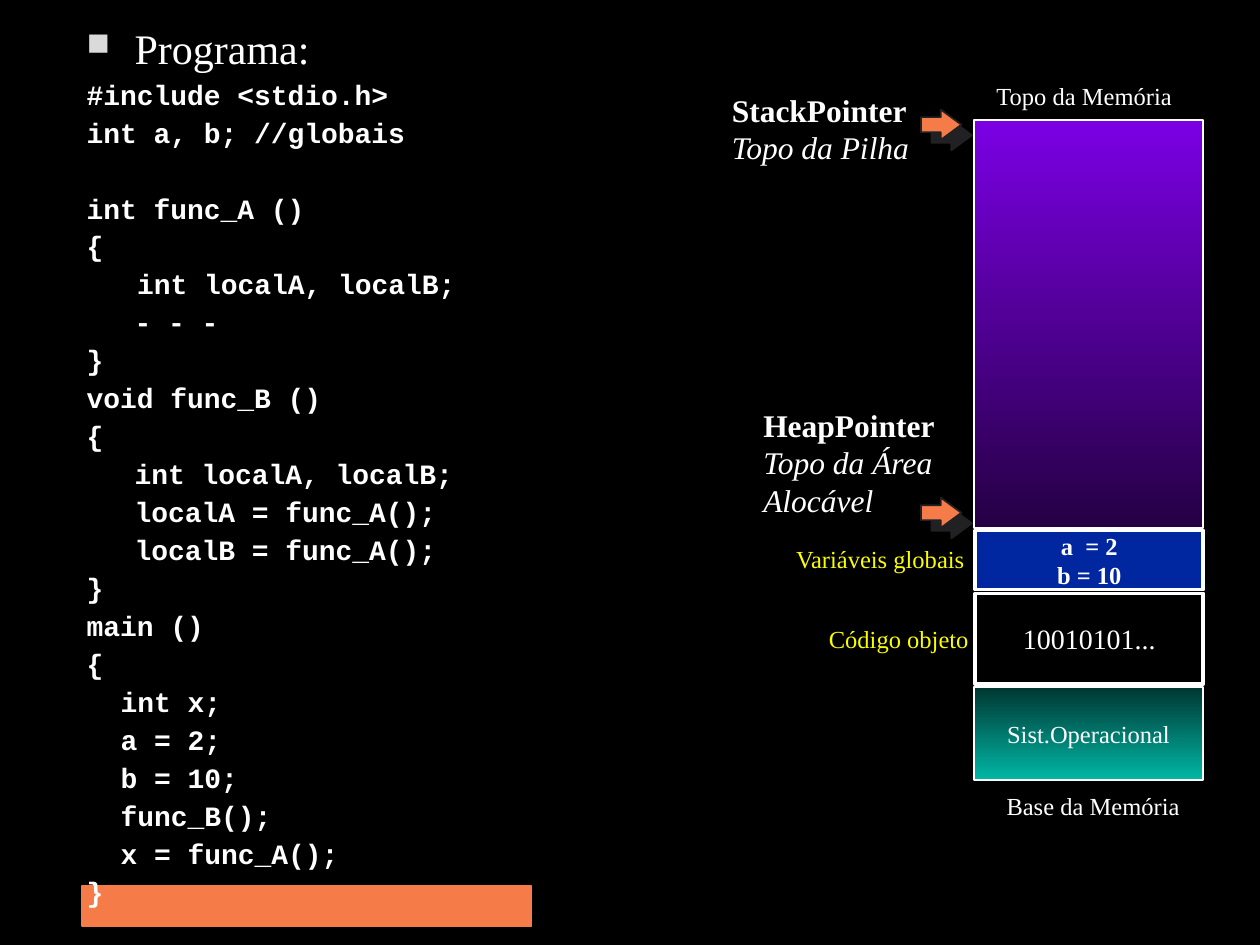
"""Build a slide that sets a C program beside its memory layout."""
from lxml import etree
from pptx import Presentation, util as u
from pptx.dml.color import RGBColor
from pptx.enum import shapes, text
from pptx.oxml import ns

COLORS = {
    "black": "000000", "white": "FFFFFF", "orange": "F57B49", "yellow": "FAFD00",
    "blue": "00279F", "shade": "212123", "bullet": "DADADA",
    "violet": "7B00E4", "deep_violet": "250044", "teal": "00B7A5", "deep_teal": "003631",
}
CODE = [
    ("#include <stdio.h>", 0), ("int a, b; //globais", 0),
    ("int func_A ()", 0), ("{", 0), ("int localA, localB;", 0.4), ("- - -", 0.38), ("}", 0),
    ("void func_B ()", 0), ("{", 0), ("int localA, localB;", 0.38),
    ("localA = func_A();", 0.38), ("localB = func_A();", 0.38), ("}", 0),
    ("main ()", 0), ("{", 0), ("int x;", 0.27), ("a = 2;", 0.27), ("b = 10;", 0.27),
    ("func_B();", 0.27), ("x = func_A();", 0.27), ("}", 0),
]


def color(name):
    return RGBColor.from_string(COLORS[name])


def add_xml(parent, tag, **attributes):
    return etree.SubElement(parent, ns.qn(tag), attributes)


def write(frame, words, size=14, font="Times New Roman", tint="white", bold=False,
          italic=False, align=text.PP_ALIGN.LEFT, before=0, margin=0, indent=0):
    """Add one formatted paragraph, using the first one while it is empty."""
    paragraph = frame.paragraphs[0]
    if paragraph.runs:
        paragraph = frame.add_paragraph()
    paragraph.alignment = align
    paragraph.space_before = u.Pt(before)
    properties = paragraph._p.get_or_add_pPr()
    properties.set("marL", str(u.Inches(margin)))
    properties.set("indent", str(u.Inches(indent)))
    run = paragraph.add_run()
    run.text = words
    run.font.name, run.font.size = font, u.Pt(size)
    run.font.bold, run.font.italic = bold, italic
    run.font.color.rgb = color(tint)
    return paragraph


class MemorySlide:
    """Draw styled elements on a grid of 100 columns and 75 rows."""

    def __init__(self, presentation):
        self.column = presentation.slide_width / 100
        self.row = presentation.slide_height / 75
        self.slide = presentation.slides.add_slide(presentation.slide_layouts[6])
        background = self.slide.background.fill
        background.solid()
        background.fore_color.rgb = color("black")

    def place(self, left, top, width, height):
        return (int(left * self.column), int(top * self.row),
                int(width * self.column), int(height * self.row))

    def block(self, place, fill, line="white", weight=1, lines=(),
              kind=shapes.MSO_SHAPE.RECTANGLE, **style):
        shape = self.slide.shapes.add_shape(kind, *self.place(*place))
        shape.shadow.inherit = False
        if isinstance(fill, tuple):
            shape.fill.gradient()
            shape.fill.gradient_angle = 270
            for stop, name in zip(shape.fill.gradient_stops, fill):
                stop.color.rgb = color(name)
        else:
            shape.fill.solid()
            shape.fill.fore_color.rgb = color(fill)
        shape.line.color.rgb = color(line)
        shape.line.width = u.Pt(weight)
        frame = shape.text_frame
        frame.word_wrap = False
        frame.vertical_anchor = text.MSO_ANCHOR.MIDDLE
        for words in lines:
            write(frame, words, align=text.PP_ALIGN.CENTER, **style)
        return shape

    def arrow(self, left, top):
        shape = self.block((left, top, 3.2, 2.4), "orange", "shade",
                           kind=shapes.MSO_SHAPE.RIGHT_ARROW)
        shape.adjustments[1] = 0.68
        effects = shape._element.spPr.find(ns.qn("a:effectLst"))
        shadow = add_xml(effects, "a:outerShdw", dist=str(u.Pt(8.5)), dir="2700000",
                         algn="ctr", rotWithShape="0")
        add_xml(shadow, "a:srgbClr", val=COLORS["shade"])

    def textbox(self, place, wrap=True, grow=True):
        frame = self.slide.shapes.add_textbox(*self.place(*place)).text_frame
        frame.word_wrap = wrap
        frame.auto_size = (text.MSO_AUTO_SIZE.SHAPE_TO_FIT_TEXT if grow
                           else text.MSO_AUTO_SIZE.NONE)
        return frame

    def label(self, left, top, width, words, tint="white"):
        write(self.textbox((left, top, width, 3.3)), words, tint=tint)

    def pointer(self, place, name, *meaning):
        frame = self.textbox(place, wrap=False)
        write(frame, name, size=18, bold=True)
        for words in meaning:
            write(frame, words, size=18, italic=True)

    def program(self, place, title, code):
        frame = self.textbox(place, grow=False)
        heading = write(frame, title, size=24, before=3, margin=0.38, indent=-0.38)
        properties = heading._p.get_or_add_pPr()
        add_xml(add_xml(properties, "a:buClr"), "a:srgbClr", val=COLORS["bullet"])
        add_xml(properties, "a:buSzPct", val="75000")
        add_xml(properties, "a:buChar", char="■")
        for words, margin in code:
            before = 24.1 if words == "int func_A ()" else 2.5
            write(frame, words, size=16, font="Courier New", bold=True,
                  before=before, margin=margin)


def main():
    presentation = Presentation()
    presentation.slide_width, presentation.slide_height = u.Inches(10), u.Inches(7.5)
    memory = MemorySlide(presentation)

    memory.block((6.5, 70.3, 35.7, 3.2), "orange", "orange")
    memory.block((77.3, 54.5, 18.2, 7.4), ("deep_teal", "teal"), lines=["Sist.Operacional"])
    memory.block((77.4, 47.1, 18.1, 7.2), "black", weight=2, lines=["10010101..."], size=16)
    memory.block((77.3, 9.5, 18.2, 32.4), ("violet", "deep_violet"))
    memory.block((77.4, 42.1, 18.1, 4.7), "blue", weight=2,
                 lines=["a  = 2", "b = 10"], bold=True)
    for top in (8.7, 39.5):
        memory.arrow(73.1, top)

    memory.pointer((59.6, 31.7, 15.7, 10), "HeapPointer", "Topo da Área", "Alocável")
    memory.pointer((57.1, 6.7, 16.3, 7), "StackPointer", "Topo da Pilha")
    memory.label(78.1, 5.9, 16, "Topo da Memória")
    memory.label(78.9, 62.3, 16, "Base da Memória")
    memory.label(62.2, 42.7, 17.7, "Variáveis globais", "yellow")
    memory.label(64.8, 49, 17.7, "Código objeto", "yellow")
    memory.program((5.9, 1.3, 45, 69.2), "Programa:", CODE)
    presentation.save("out.pptx")


if __name__ == "__main__":
    main()
